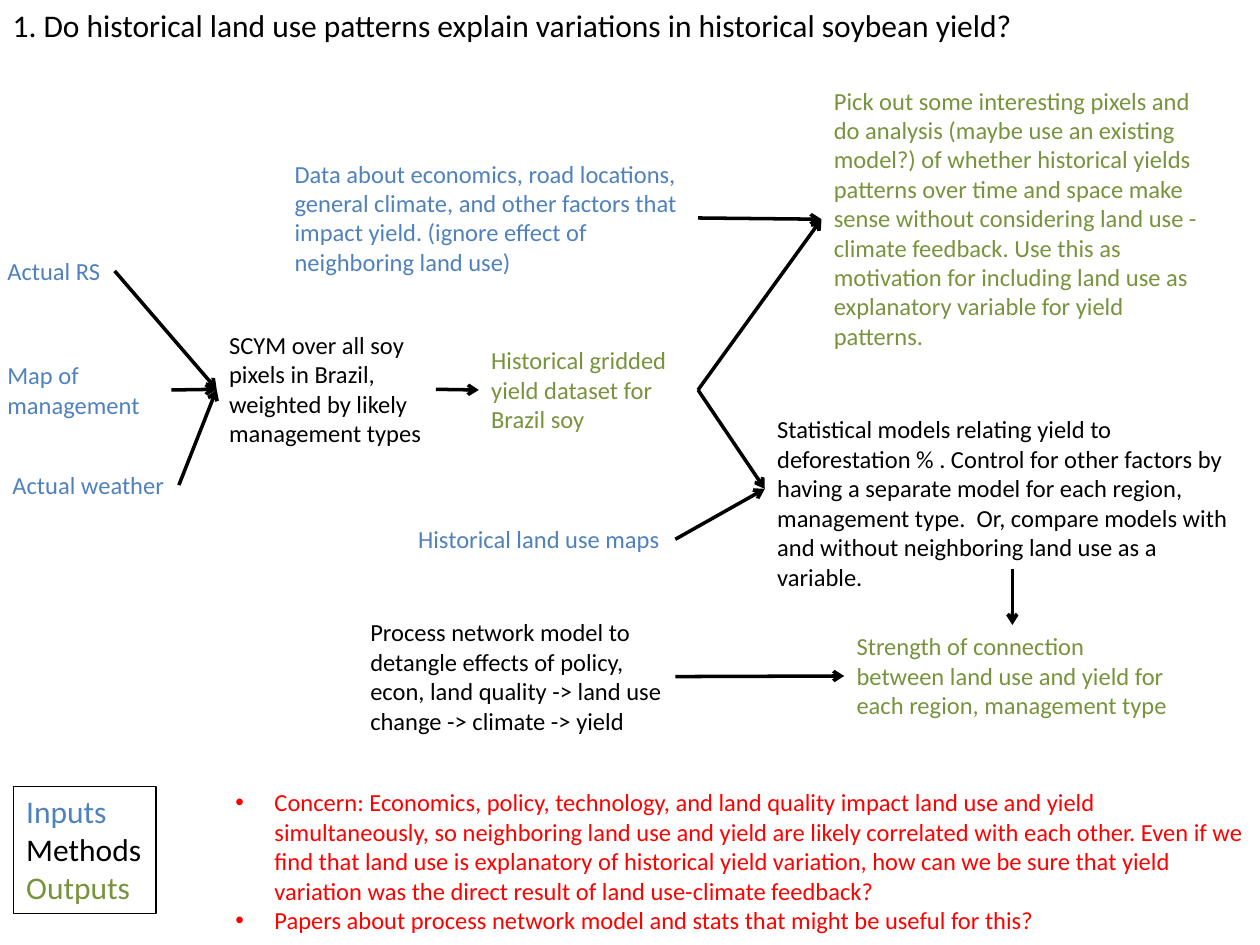
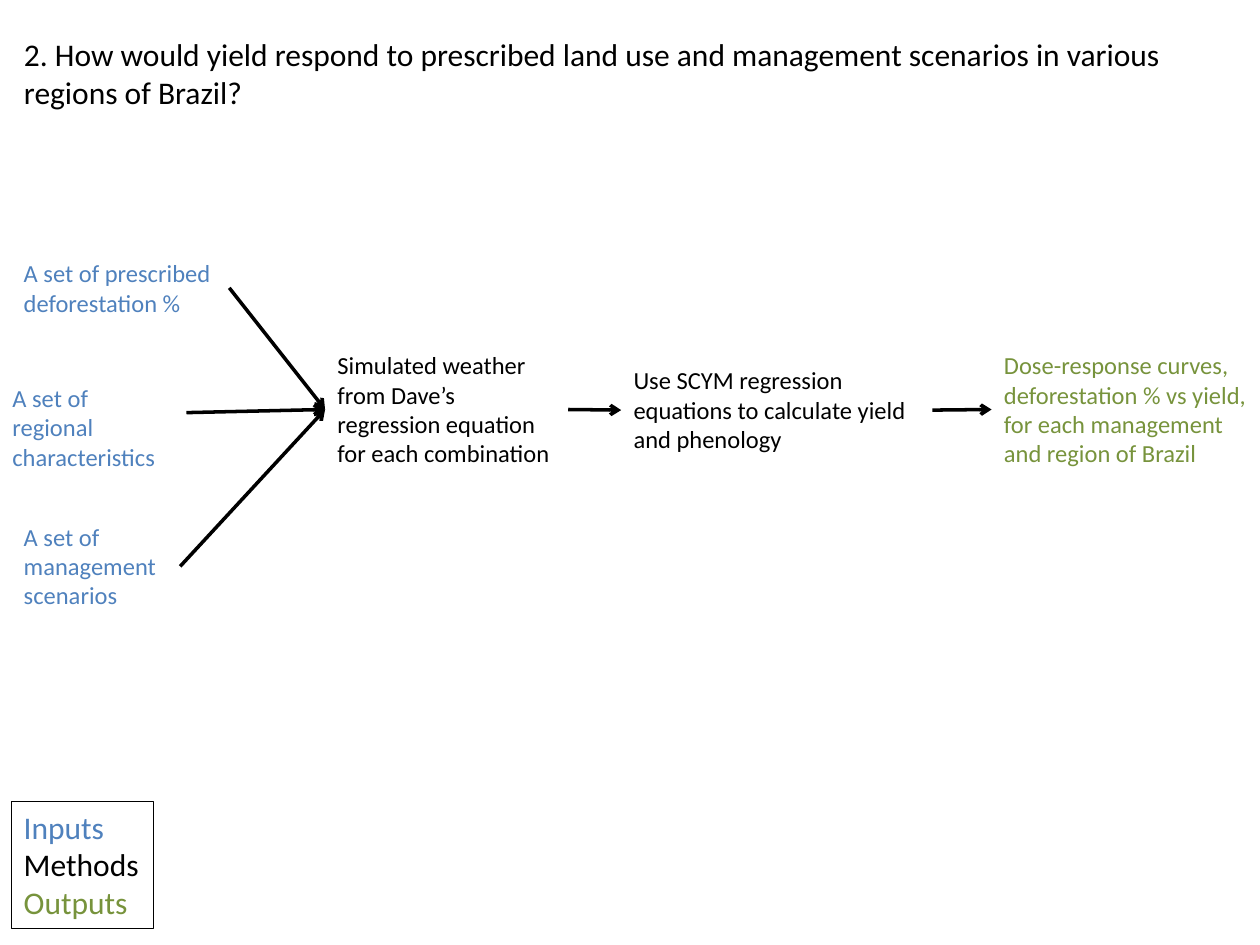
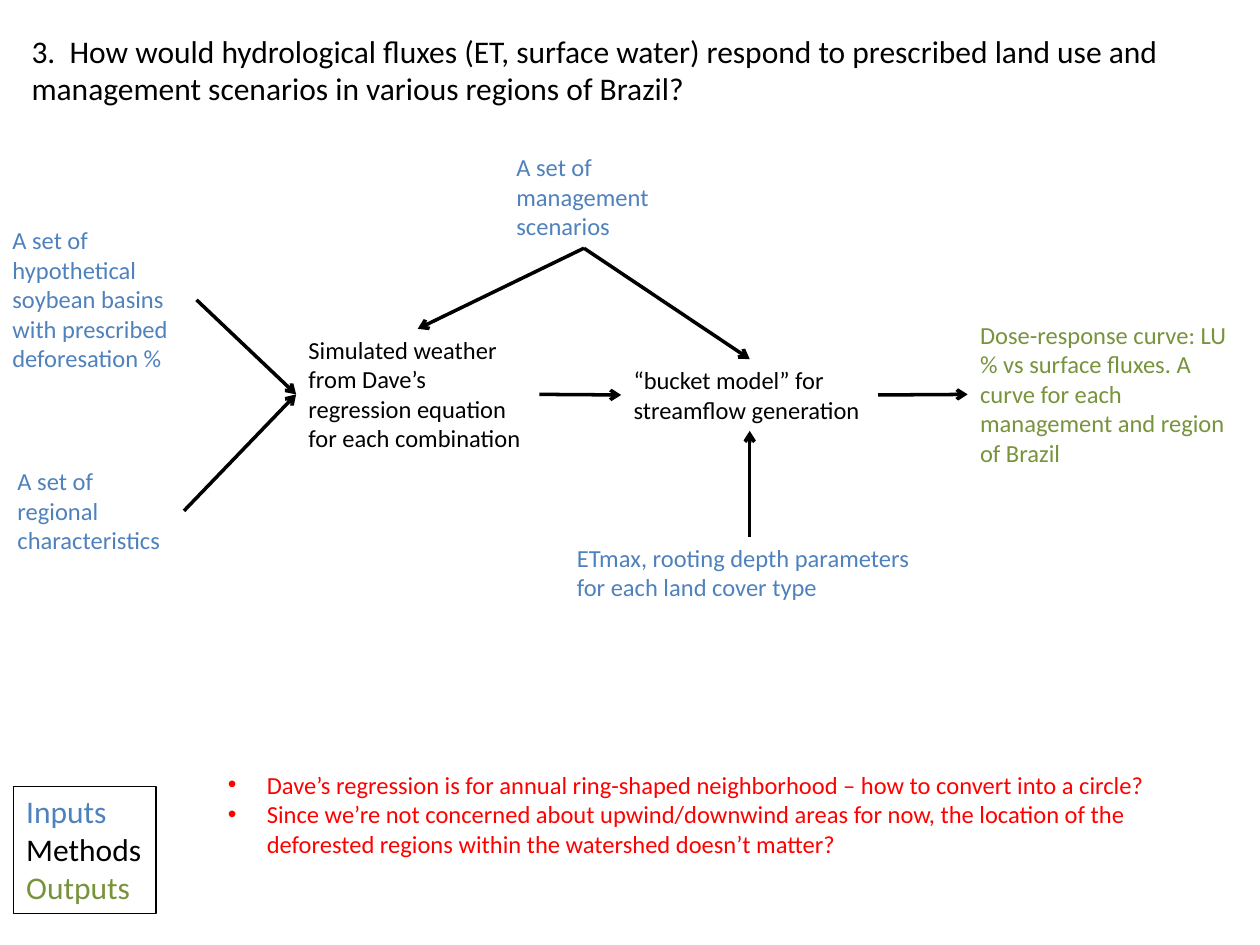
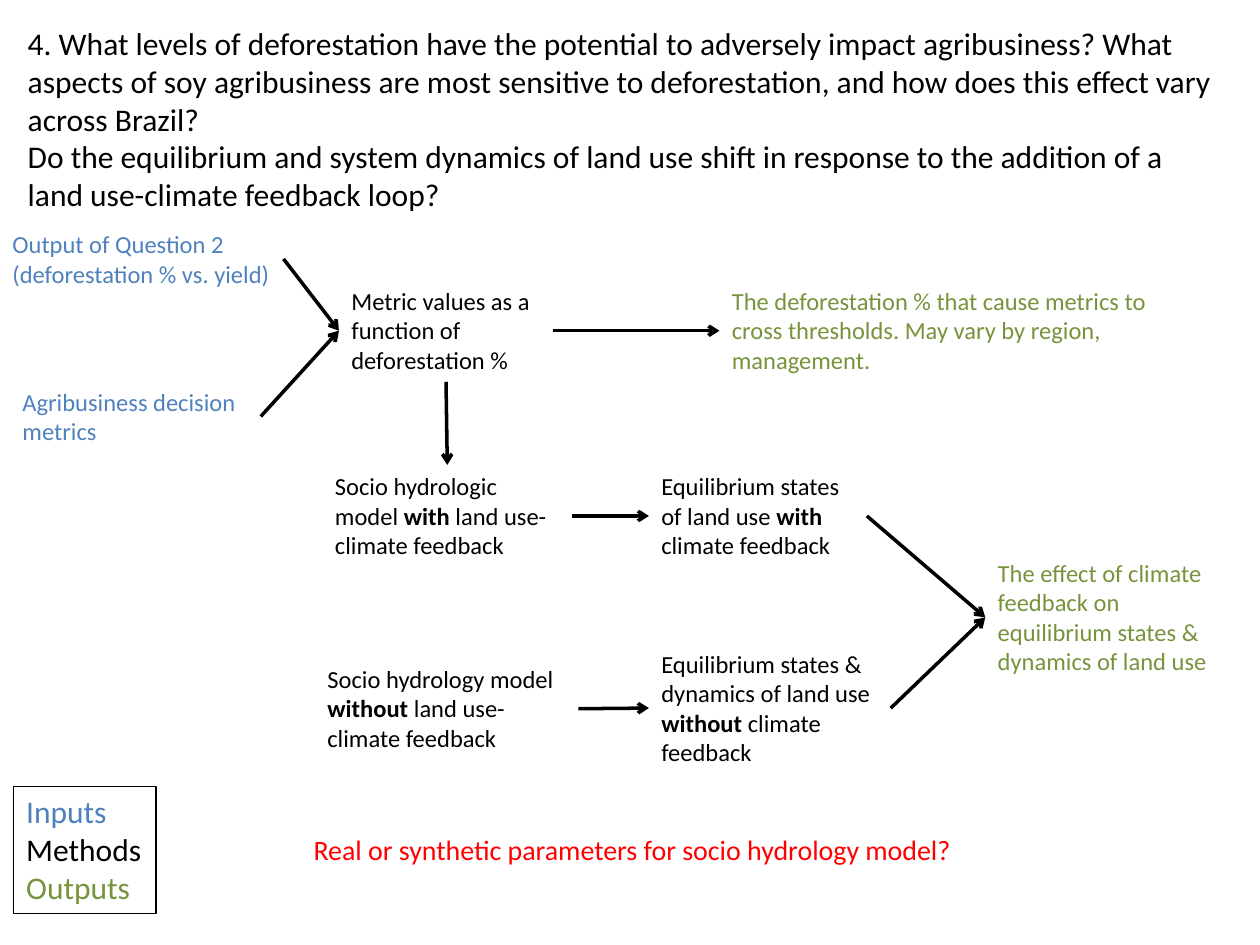
import dataclasses

import lxml.etree
import pptx
import pptx.dml.color
import pptx.enum.shapes
import pptx.enum.text
import pptx.oxml.ns
import pptx.util

Inches = pptx.util.Inches
Pt = pptx.util.Pt
qn = pptx.oxml.ns.qn


@dataclasses.dataclass(frozen=True)
class Theme:
    font: str = "Calibri"
    ink: str = "000000"
    input: str = "4F81BD"
    method: str = "000000"
    output: str = "77933C"
    concern: str = "FF0000"
    title_size: int = 18
    step_size: int = 14
    remark_size: int = 16
    arrow_width: float = 2
    border_width: float = 0.75
    one_line: float = 0.4
    bullet_indent: float = 0.31


theme = Theme()
BOTTOM, RIGHT, TOP, LEFT = 2, 3, 0, 1

questions = [
    {
        "title": (0, 0, 8.24, 0.4, [
            "1. Do historical land use patterns explain variations in historical soybean yield?"]),
        "legend": (0.11, 6.24),
        "steps": {
            "scym": (theme.method, 1.72, 2.57, 1.74, 1.04,
                     "SCYM over all soy pixels in Brazil, weighted by likely management types"),
            "yields": (theme.output, 3.8, 2.69, 1.74, 0.81,
                       "Historical gridded yield dataset for Brazil soy"),
            "pixels": (theme.output, 6.52, 0.63, 3.24, 2.22,
                       "Pick out some interesting pixels and do analysis (maybe use an existing model?) "
                       "of whether historical yields patterns over time and space make sense without "
                       "considering land use - climate feedback. Use this as motivation for including "
                       "land use as explanatory variable for yield patterns."),
            "maps": (theme.input, 3.22, 4.11, 2.14, 0.34, "Historical land use maps"),
            "statistics": (theme.method, 6.07, 3.24, 3.93, 1.28,
                           "Statistical models relating yield to deforestation % . Control for other "
                           "factors by having a separate model for each region, management type.  Or, "
                           "compare models with and without neighboring land use as a variable."),
            "weather": (theme.input, 0, 3.68, 1.42, 0.34, "Actual weather"),
            "sensing": (theme.input, -0.04, 1.98, 0.95, 0.34, "Actual RS"),
            "management": (theme.input, -0.04, 2.81, 1.4, 0.57, "Map of management"),
            "economics": (theme.input, 2.24, 1.21, 3.3, 1.04,
                          "Data about economics, road locations, general climate, and other factors "
                          "that impact yield. (ignore effect of neighboring land use)"),
            "strength": (theme.output, 6.7, 4.96, 2.67, 0.81,
                         "Strength of connection between land use and yield for each region, "
                         "management type"),
            "network": (theme.method, 2.84, 4.85, 2.52, 1.04,
                        "Process network model to detangle effects of policy, econ, land quality -> "
                        "land use change -> climate -> yield"),
        },
        "arrows": [
            ("scym", RIGHT, "yields", LEFT),
            ("yields", RIGHT, "pixels", LEFT),
            ("maps", RIGHT, "statistics", LEFT),
            ("yields", RIGHT, "statistics", LEFT),
            ("sensing", RIGHT, "scym", LEFT),
            ("management", RIGHT, "scym", LEFT),
            ("weather", RIGHT, "scym", LEFT),
            ("economics", RIGHT, "pixels", LEFT),
            ("statistics", BOTTOM, "strength", TOP),
            ("network", RIGHT, "strength", LEFT),
        ],
        "concerns": (1.77, 6.2, 8.23, 1.28, theme.step_size, True, [
            "Concern: Economics, policy, technology, and land quality impact land use and yield "
            "simultaneously, so neighboring land use and yield are likely correlated with each other. "
            "Even if we find that land use is explanatory of historical yield variation, how can we be "
            "sure that yield variation was the direct result of land use-climate feedback?",
            "Papers about process network model and stats that might be useful for this?"]),
    },
    {
        "title": (0.09, 0.23, 9.91, 0.71, [
            "2. How would yield respond to prescribed land use and management scenarios in various "
            "regions of Brazil?"]),
        "legend": (0.09, 6.36),
        "steps": {
            "weather": (theme.method, 2.58, 2.73, 1.93, 1.04,
                        "Simulated weather from Dave’s regression equation for each combination"),
            "deforestation": (theme.input, 0.09, 2, 1.73, 0.57, "A set of prescribed deforestation %"),
            "regions": (theme.input, 0, 2.99, 1.48, 0.57, "A set of regional characteristics"),
            "scenarios": (theme.input, 0.09, 4.09, 1.34, 0.81, "A set of management scenarios"),
            "curves": (theme.output, 7.87, 2.73, 2.13, 1.04,
                       "Dose-response curves, deforestation % vs yield, for each management and region "
                       "of Brazil"),
            "scym": (theme.method, 4.93, 2.85, 2.47, 0.81,
                     "Use SCYM regression equations to calculate yield and phenology"),
        },
        "arrows": [
            ("deforestation", RIGHT, "weather", LEFT),
            ("regions", RIGHT, "weather", LEFT),
            ("scenarios", RIGHT, "weather", LEFT),
            ("weather", RIGHT, "scym", LEFT),
            ("scym", RIGHT, "curves", LEFT),
        ],
        "concerns": None,
    },
    {
        "title": (0.15, 0.2, 9.66, 0.71, [
            "3.  How would hydrological fluxes (ET, surface water) respond to prescribed land use and "
            "management scenarios in various regions of Brazil?"]),
        "legend": (0.11, 6.24),
        "steps": {
            "weather": (theme.method, 2.35, 2.61, 1.93, 1.04,
                        "Simulated weather from Dave’s regression equation for each combination"),
            "basins": (theme.input, 0, 1.74, 1.56, 1.28,
                       "A set of hypothetical soybean basins with prescribed deforesation %"),
            "regions": (theme.input, 0.04, 3.65, 1.42, 0.81, "A set of regional characteristics"),
            "scenarios": (theme.input, 4, 1.16, 1.27, 0.81, "A set of management scenarios"),
            "curves": (theme.output, 7.68, 2.49, 2.32, 1.28,
                       "Dose-response curve: LU % vs surface fluxes. A curve for each management and "
                       "region of Brazil"),
            "bucket": (theme.method, 4.93, 2.85, 2.04, 0.57,
                       "“bucket model” for streamflow generation"),
            "rooting": (theme.input, 4.48, 4.26, 2.94, 0.57,
                        "ETmax, rooting depth parameters for each land cover type"),
        },
        "arrows": [
            ("basins", RIGHT, "weather", LEFT),
            ("regions", RIGHT, "weather", LEFT),
            ("scenarios", BOTTOM, "bucket", TOP),
            ("weather", RIGHT, "bucket", LEFT),
            ("bucket", RIGHT, "curves", LEFT),
            ("rooting", TOP, "bucket", BOTTOM),
            ("scenarios", BOTTOM, "weather", TOP),
        ],
        "concerns": (1.71, 6.06, 7.8, 0.81, theme.step_size, True, [
            "Dave’s regression is for annual ring-shaped neighborhood – how to convert into a circle?",
            "Since we’re not concerned about upwind/downwind areas for now, the location of the "
            "deforested regions within the watershed doesn’t matter?"]),
    },
    {
        "title": (0.12, 0.14, 9.68, 1.62, [
            "4. What levels of deforestation have the potential to adversely impact agribusiness? What "
            "aspects of soy agribusiness are most sensitive to deforestation, and how does this effect "
            "vary across Brazil?",
            "Do the equilibrium and system dynamics of land use shift in response to the addition of a "
            "land use-climate feedback loop?"]),
        "legend": (0.11, 6.24),
        "steps": {
            "yields": (theme.input, 0, 1.77, 2.25, 0.57,
                       "Output of Question 2 (deforestation % vs. yield)"),
            "decisions": (theme.input, 0.08, 3.02, 1.99, 0.57, "Agribusiness decision metrics"),
            "metrics": (theme.method, 2.69, 2.22, 1.7, 0.81,
                        "Metric values as a function of deforestation %"),
            "model without": (theme.method, 2.5, 5.22, 2.09, 0.81,
                              "Socio hydrology model *without* land use-climate feedback"),
            "model with": (theme.method, 2.56, 3.69, 1.98, 0.81,
                           "Socio hydrologic model *with* land use-climate feedback"),
            "states with": (theme.method, 5.15, 3.69, 1.73, 0.81,
                            "Equilibrium states of land use *with* climate feedback"),
            "states without": (theme.method, 5.15, 5.1, 1.92, 1.04,
                               "Equilibrium states & dynamics of land use *without* climate feedback"),
            "thresholds": (theme.output, 5.71, 2.22, 3.52, 0.81,
                           "The deforestation % that cause metrics to cross thresholds. May vary by "
                           "region, management."),
            "effect": (theme.output, 7.82, 4.38, 1.98, 1.04,
                       "The effect of climate feedback on equilibrium states & dynamics of land use"),
        },
        "arrows": [
            ("yields", RIGHT, "metrics", LEFT),
            ("decisions", RIGHT, "metrics", LEFT),
            ("metrics", BOTTOM, "model with", TOP),
            ("model without", RIGHT, "states without", LEFT),
            ("model with", RIGHT, "states with", LEFT),
            ("metrics", RIGHT, "thresholds", LEFT),
            ("states with", RIGHT, "effect", LEFT),
            ("states without", RIGHT, "effect", LEFT),
        ],
        "concerns": (2.39, 6.56, 5.36, 0.37, theme.remark_size, False, [
            "Real or synthetic parameters for socio hydrology model?"]),
    },
]


def write(frame, lines, size, wrap):
    frame.word_wrap = wrap
    frame.auto_size = pptx.enum.text.MSO_AUTO_SIZE.SHAPE_TO_FIT_TEXT
    frame.vertical_anchor = pptx.enum.text.MSO_ANCHOR.TOP
    for number, (text, color) in enumerate(lines):
        paragraph = frame.add_paragraph() if number else frame.paragraphs[0]
        paragraph.alignment = pptx.enum.text.PP_ALIGN.LEFT
        for position, part in enumerate(text.split("*")):
            run = paragraph.add_run()
            run.text = part
            run.font.name = theme.font
            run.font.size = Pt(size)
            run.font.bold = position % 2 == 1
            run.font.color.rgb = pptx.dml.color.RGBColor.from_string(color)


prs = pptx.Presentation()
prs.slide_width = Inches(10)
prs.slide_height = Inches(7.5)
ink = pptx.dml.color.RGBColor.from_string(theme.ink)

for question in questions:
    slide = prs.slides.add_slide(prs.slide_layouts[5])

    left, top, width, height, sentences = question["title"]
    title = slide.shapes.title
    title.left, title.top = Inches(left), Inches(top)
    title.width, title.height = Inches(width), Inches(height)
    write(title.text_frame, [(sentence, theme.ink) for sentence in sentences],
          theme.title_size, height > theme.one_line)

    steps = {}
    for key, (color, left, top, width, height, text) in question["steps"].items():
        steps[key] = slide.shapes.add_textbox(
            Inches(left), Inches(top), Inches(width), Inches(height))
        write(steps[key].text_frame, [(text, color)], theme.step_size, height > theme.one_line)

    for source, source_side, target, target_side in question["arrows"]:
        arrow = slide.shapes.add_connector(
            pptx.enum.shapes.MSO_CONNECTOR.STRAIGHT, 0, 0, 0, 0)
        arrow.begin_connect(steps[source], source_side)
        arrow.end_connect(steps[target], target_side)
        arrow.line.color.rgb = ink
        arrow.line.width = Pt(theme.arrow_width)
        properties = arrow.element.spPr
        lxml.etree.SubElement(properties.find(qn("a:ln")), qn("a:tailEnd"), type="arrow")
        lxml.etree.SubElement(properties, qn("a:effectLst"))

    left, top = question["legend"]
    legend = slide.shapes.add_shape(
        pptx.enum.shapes.MSO_SHAPE.RECTANGLE, Inches(left), Inches(top), Inches(1.13), Inches(1.01))
    legend.shadow.inherit = False
    legend.fill.background()
    legend.line.color.rgb = ink
    legend.line.width = Pt(theme.border_width)
    write(legend.text_frame,
          [("Inputs", theme.input), ("Methods", theme.method), ("Outputs", theme.output)],
          theme.title_size, False)

    if question["concerns"]:
        left, top, width, height, size, bulleted, sentences = question["concerns"]
        concerns = slide.shapes.add_textbox(
            Inches(left), Inches(top), Inches(width), Inches(height))
        write(concerns.text_frame, [(sentence, theme.concern) for sentence in sentences],
              size, height > theme.one_line)
        if bulleted:
            for paragraph in concerns.text_frame.paragraphs:
                settings = paragraph._p.get_or_add_pPr()
                settings.set("marL", str(Inches(theme.bullet_indent)))
                settings.set("indent", str(-Inches(theme.bullet_indent)))
                lxml.etree.SubElement(settings, qn("a:buFont"), typeface="Arial")
                lxml.etree.SubElement(settings, qn("a:buChar"), char="•")

prs.save("out.pptx")
